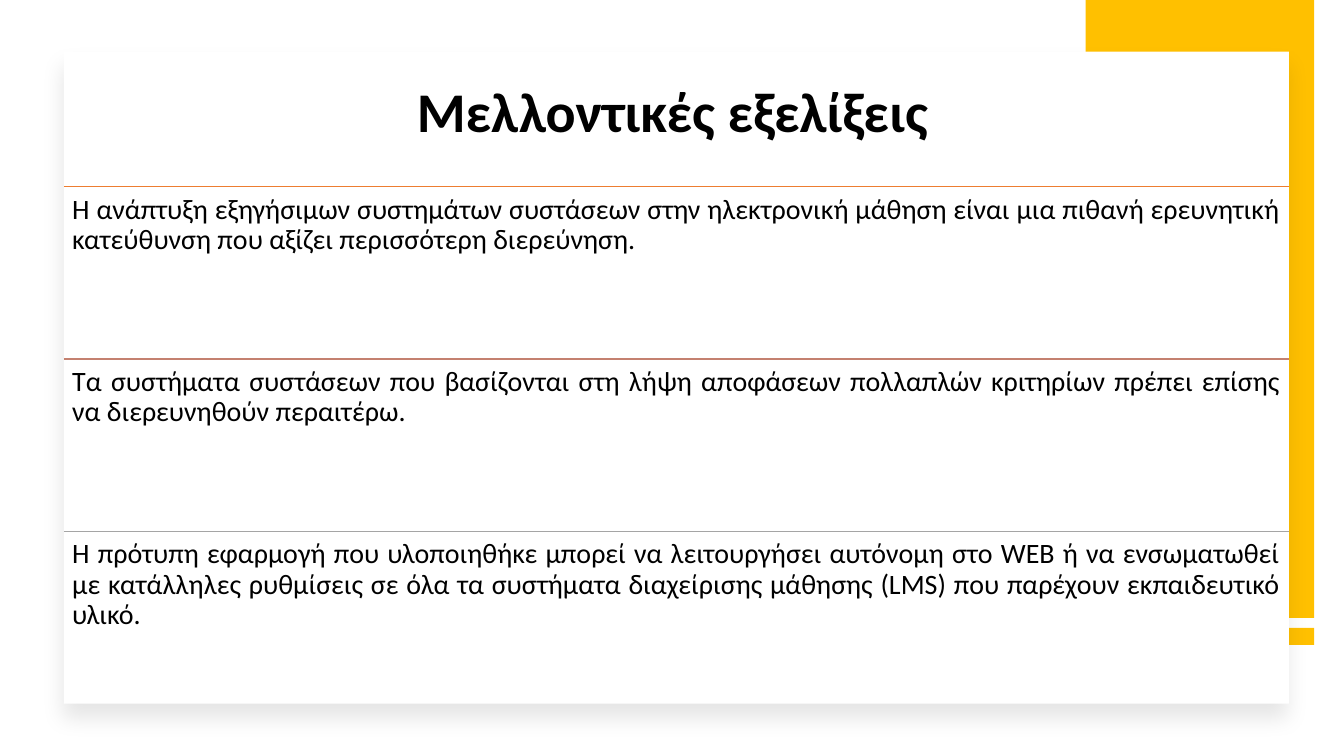
from dataclasses import dataclass

from lxml.etree import SubElement
from pptx import Presentation
from pptx.dml.color import RGBColor
from pptx.enum.shapes import MSO_CONNECTOR as Connector, MSO_SHAPE as Shape
from pptx.enum.text import MSO_ANCHOR as Anchor, PP_ALIGN as Align
from pptx.oxml.ns import qn
from pptx.util import Cm, Pt


@dataclass(frozen=True)
class Theme:
    """Colours, font and type sizes of the deck."""
    font: str = "Calibri"
    ink: str = "000000"
    paper: str = "FFFFFF"
    accent: str = "FFC000"
    rules: tuple = ("ED7D31", "C48170", "A5A5A5")
    title_size: int = 40
    body_size: int = 20


@dataclass(frozen=True)
class Box:
    """A rectangle in centimetres."""
    left: float
    top: float
    width: float
    height: float

    def lengths(self):
        """Return the position and size as lengths."""
        return Cm(self.left), Cm(self.top), Cm(self.width), Cm(self.height)

    def rows(self, count):
        """Split the box into equal rows."""
        height = self.height / count
        return [Box(self.left, self.top + index * height, self.width, height)
                for index in range(count)]


THEME = Theme()
TITLE = "Μελλοντικές εξελίξεις"
DIRECTIONS = (
    "Η ανάπτυξη εξηγήσιμων συστημάτων συστάσεων στην ηλεκτρονική μάθηση είναι "
    "μια πιθανή ερευνητική κατεύθυνση που αξίζει περισσότερη διερεύνηση.",
    "Τα συστήματα συστάσεων που βασίζονται στη λήψη αποφάσεων πολλαπλών "
    "κριτηρίων πρέπει επίσης να διερευνηθούν περαιτέρω.",
    "Η πρότυπη εφαρμογή που υλοποιηθήκε μπορεί να λειτουργήσει αυτόνομη στο WEB "
    "ή να ενσωματωθεί με κατάλληλες ρυθμίσεις σε όλα τα συστήματα διαχείρισης "
    "μάθησης (LMS) που παρέχουν εκπαιδευτικό υλικό.",
)


def add_panel(page, box, colour):
    """Add a plain filled rectangle."""
    panel = page.shapes.add_shape(Shape.RECTANGLE, *box.lengths())
    panel.shadow.inherit = False
    panel.fill.solid()
    panel.fill.fore_color.rgb = RGBColor.from_string(colour)
    panel.line.fill.background()
    return panel


def write(frame, text, size, align, bold=False):
    """Write one formatted paragraph into a text frame."""
    frame.word_wrap = True
    frame.text = text
    para = frame.paragraphs[0]
    para.alignment = align
    para.line_spacing = 0.9
    for span in para.runs:
        span.font.name = THEME.font
        span.font.size = Pt(size)
        span.font.bold = bold
        span.font.color.rgb = RGBColor.from_string(THEME.ink)
    return para


def add_backdrop(page, box):
    """Add the yellow column and the thin strip below it."""
    gap, strip = 0.25, 0.43
    column = box.height - gap - strip
    add_panel(page, Box(box.left, box.top + column + gap, box.width, strip), THEME.accent)
    add_panel(page, Box(box.left, box.top, box.width, column), THEME.accent)


def add_card(page, box):
    """Add the white card with its soft shadow below."""
    card = add_panel(page, box, THEME.paper)
    effects = card._element.spPr.find(qn("a:effectLst"))
    shadow = SubElement(effects, qn("a:outerShdw"), blurRad=str(Pt(15)),
                        dist=str(Pt(11)), dir="5400000", algn="t", rotWithShape="0")
    colour = SubElement(shadow, qn("a:srgbClr"), val=THEME.ink)
    SubElement(colour, qn("a:alpha"), val="10000")


def add_title(page, box):
    """Place the title in its placeholder at the top of the card."""
    title = page.shapes.title
    title.left, title.top, title.width, title.height = box.lengths()
    title.text_frame.vertical_anchor = Anchor.MIDDLE
    write(title.text_frame, TITLE, THEME.title_size, Align.CENTER, bold=True)
    page.shapes._spTree.append(title._element)


def add_direction(page, box, text, colour):
    """Add one ruled row of text."""
    left, top, width, height = box.lengths()
    rule = page.shapes.add_connector(Connector.STRAIGHT, left, top, left + width, top)
    rule.line.color.rgb = RGBColor.from_string(colour)
    rule.line.width = Pt(1)
    SubElement(rule._element.spPr, qn("a:effectLst"))
    frame = page.shapes.add_textbox(left, top, width, height).text_frame
    frame.margin_left = frame.margin_right = Cm(0.21)
    frame.margin_top = frame.margin_bottom = Cm(0.21)
    para = write(frame, text, THEME.body_size, Align.JUSTIFY)
    para.space_after = Pt(7)


def add_directions(page, box):
    """Stack the ruled rows evenly in the box."""
    rows = box.rows(len(DIRECTIONS))
    for row, text, colour in zip(rows, DIRECTIONS, THEME.rules):
        add_direction(page, row, text, colour)


def build_page(deck):
    """Build the slide on future developments."""
    page = deck.slides.add_slide(deck.slide_layouts[5])
    card = Box(1.61, 1.3, 30.87, 16.43)
    header = 3.4
    add_backdrop(page, Box(27.36, 0, 5.76, 16.25))
    add_card(page, card)
    add_title(page, Box(card.left + 0.73, card.top, 29.21, 3.15))
    add_directions(page, Box(card.left, card.top + header, card.width, card.height - header))


def main():
    """Create and save the deck."""
    deck = Presentation()
    deck.slide_width, deck.slide_height = Cm(33.87), Cm(19.05)
    build_page(deck)
    deck.save("out.pptx")


if __name__ == "__main__":
    main()
